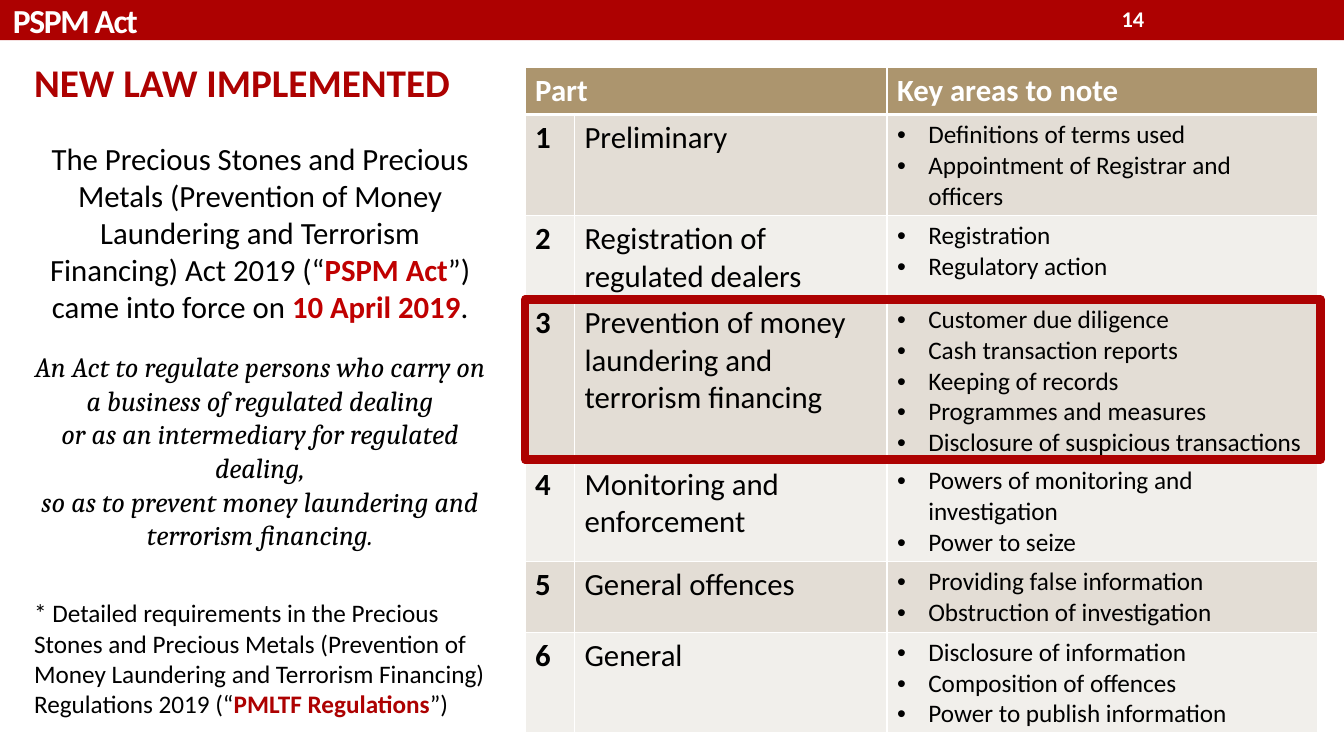
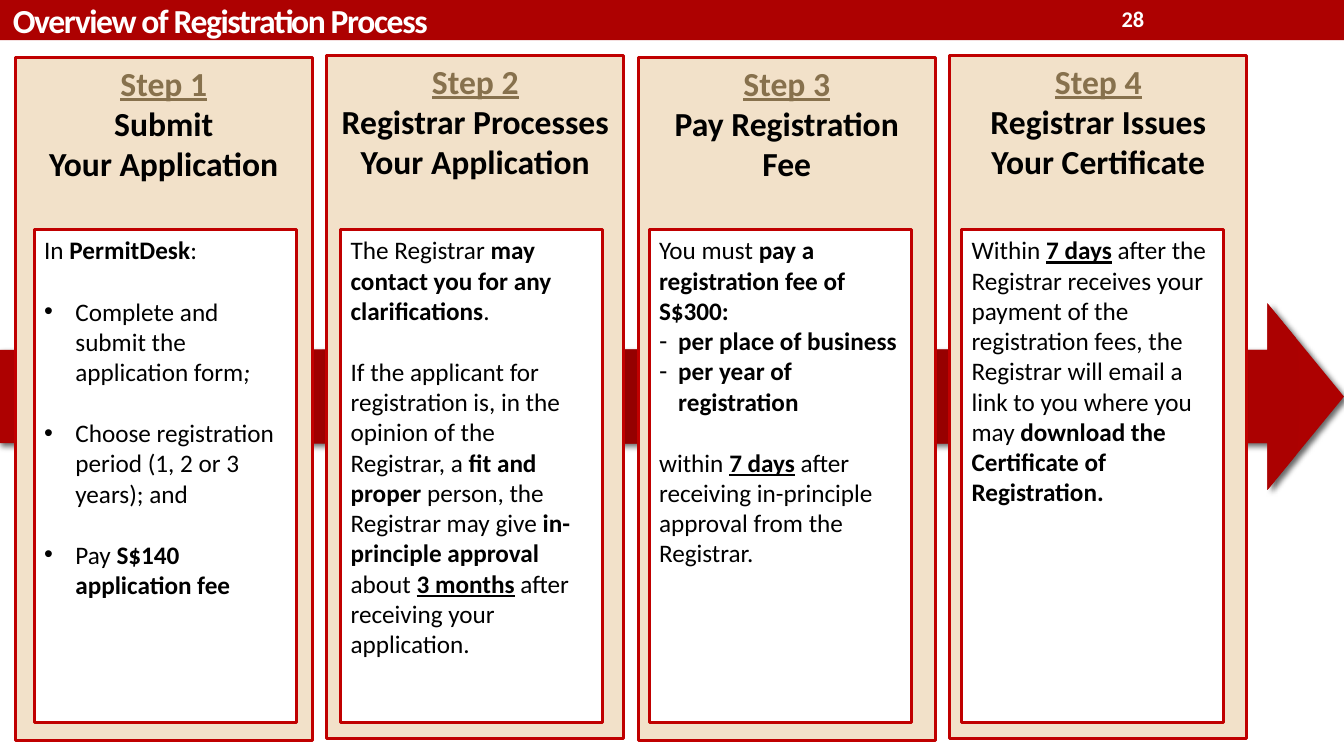
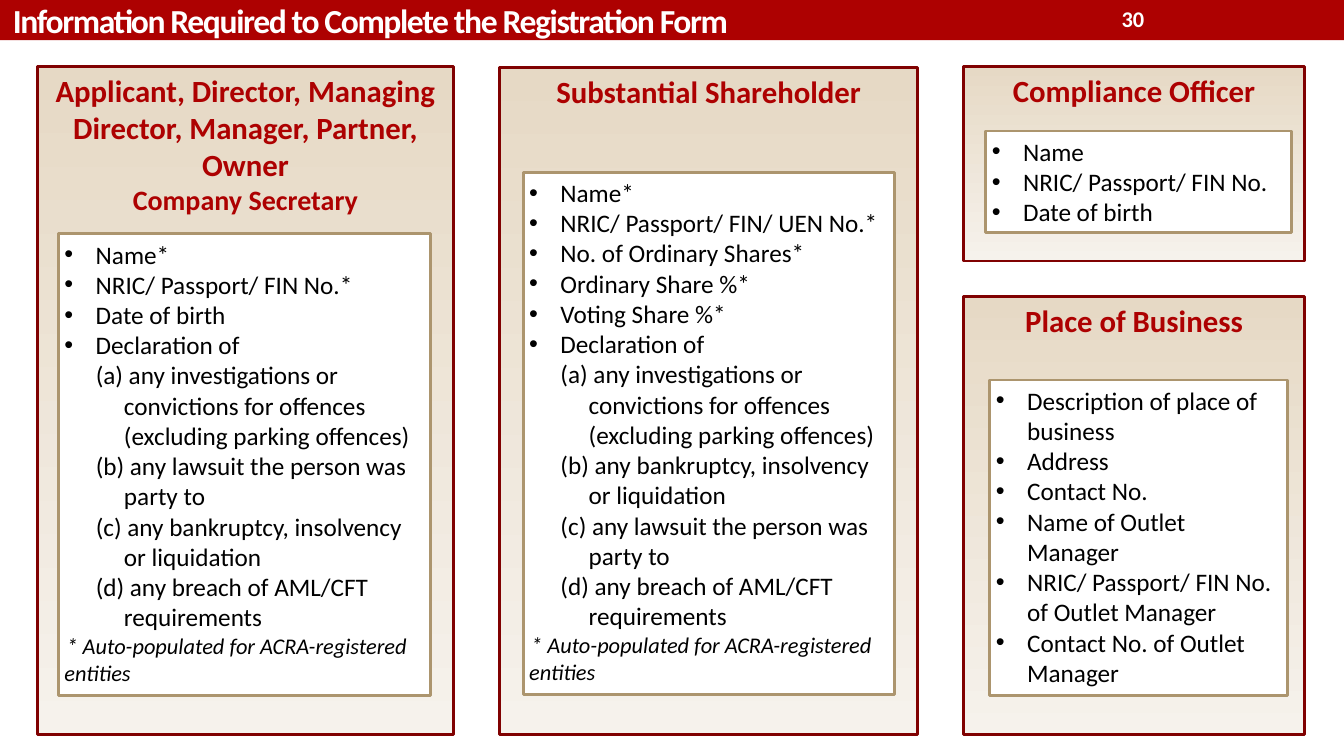
from dataclasses import dataclass
from typing import NamedTuple, Optional, Sequence, Union

from lxml.etree import SubElement as Sub
from pptx import Presentation
from pptx.dml.color import RGBColor as RGB
from pptx.enum.shapes import MSO_SHAPE as Kind
from pptx.enum.text import MSO_ANCHOR as Anchor, PP_ALIGN as Align
from pptx.oxml import parse_xml
from pptx.oxml.ns import nsdecls, qn
from pptx.util import Inches, Pt

# Grid: ten columns and ten rows to the inch
COLS, ROWS = 133.33, 75
UNIT = Inches(0.1)


@dataclass(frozen=True)
class Theme:
    red: str = "AD0101"
    deep: str = "800101"
    bright: str = "C00000"
    dark: str = "950000"
    mid: str = "A60000"
    tan: str = "AC956E"
    brown: str = "87714D"
    cream: str = "F2E1C9"
    sand: str = "E6D9C5"
    pale: str = "F6F2EC"
    odd: str = "E3DDD5"
    even: str = "F1EFEB"
    white: str = "FFFFFF"
    black: str = "000000"
    font: str = "Calibri"
    serif: str = "Cambria"
    head: int = 28
    title: int = 24
    lead: int = 22
    quote: int = 20
    body: int = 18
    small: int = 16
    edge: float = 2.08


T = Theme()
LOOKS = {
    "": {},
    "b": {"bold": True},
    "i": {"italic": True},
    "bu": {"bold": True, "underline": True},
}


class Box(NamedTuple):
    x: float
    y: float
    w: float
    h: float

    def emu(self) -> list[int]:
        return [round(n * UNIT) for n in self]


class Run(NamedTuple):
    text: str
    look: str = ""
    hue: Optional[str] = None


@dataclass
class Para:
    bits: Sequence[Union[str, Run]]
    size: float = T.body
    look: str = ""
    hue: str = T.black
    align: Align = Align.LEFT
    mark: str = ""
    left: float = 0
    hang: float = 0
    gap: float = 0
    font: str = T.font
    track: int = 0


class Step(NamedTuple):
    lines: Sequence[str]
    inset: float
    paras: Sequence[Para]


class Panel(NamedTuple):
    box: Box
    heads: Sequence[Para]
    inner: Box
    paras: Sequence[Para]


class Topic(NamedTuple):
    name: str
    areas: Sequence[str]


# Kinds of paragraph
def bold(text: str) -> Run:
    return Run(text, "b")


def under(text: str) -> Run:
    return Run(text, "bu")


def dot(*bits: Union[str, Run], gap: float = 0) -> Para:
    return Para(bits, mark="•", left=0.31, hang=-0.31, gap=gap)


def dash(text: str) -> Para:
    return Para([bold(text)], mark="-", left=0.19, hang=-0.19)


def clause(text: str) -> Para:
    return Para([text], left=0.59, hang=-0.28)


def head(text: str, size: int = T.lead) -> Para:
    return Para([text], size, "b", T.red, Align.CENTER)


# Drawing
def write(frame, paras: Sequence[Para]) -> None:
    for n, para in enumerate(paras):
        p = frame.add_paragraph() if n else frame.paragraphs[0]
        p.alignment = para.align
        p.space_before = Pt(para.gap)
        props = p._p.get_or_add_pPr()
        props.set("marL", str(Inches(para.left)))
        props.set("indent", str(Inches(para.hang)))
        if para.mark:
            Sub(props, qn("a:buFont")).set("typeface", "Arial")
            Sub(props, qn("a:buChar")).set("char", para.mark)
        for item in para.bits:
            bit = item if isinstance(item, Run) else Run(item)
            run = p.add_run()
            run.text = bit.text
            style = {"name": para.font, "size": Pt(para.size), "bold": False,
                     **LOOKS[para.look], **LOOKS[bit.look]}
            for key, value in style.items():
                setattr(run.font, key, value)
            run.font.color.rgb = RGB.from_string(bit.hue or para.hue)
            if para.track:
                run._r.get_or_add_rPr().set("spc", str(para.track))


def setup(frame, paras: Sequence[Para], anchor: Anchor, side: float) -> None:
    style = {"word_wrap": True, "vertical_anchor": anchor,
             "margin_left": Inches(side), "margin_right": Inches(side)}
    for key, value in style.items():
        setattr(frame, key, value)
    write(frame, paras)


def label(slide, box: Box, paras: Sequence[Para], anchor: Anchor = Anchor.TOP) -> None:
    setup(slide.shapes.add_textbox(*box.emu()).text_frame, paras, anchor, 0.1)


def block(slide, box: Box, fill: Sequence[str] = (), line: str = "", paras: Sequence[Para] = (),
          edge: float = T.edge, side: float = 0.1, kind: Kind = Kind.RECTANGLE):
    """One fill colour is solid, two run from top to bottom, none is clear."""
    shape = slide.shapes.add_shape(kind, *box.emu())
    shape.shadow.inherit = False
    if len(fill) == 2:
        shape.fill.gradient()
        shape.fill.gradient_angle = 270
        for stop, hue in zip(shape.fill.gradient_stops, fill):
            stop.color.rgb = RGB.from_string(hue)
    elif fill:
        shape.fill.solid()
        shape.fill.fore_color.rgb = RGB.from_string(fill[0])
    else:
        shape.fill.background()
    if line:
        shape.line.color.rgb = RGB.from_string(line)
        shape.line.width = Pt(edge)
    else:
        shape.line.fill.background()
    if paras:
        setup(shape.text_frame, paras, Anchor.TOP, side)
    return shape


def start(deck, title: str, number: int):
    """Add a slide with the red band, its title and its number."""
    slide = deck.slides.add_slide(deck.slide_layouts[6])
    block(slide, Box(0, 0, COLS, 4), [T.red])
    label(slide, Box(0.3, 0, 92.4, 4),
          [Para([title], T.title, "b", T.white, track=-100)], Anchor.MIDDLE)
    label(slide, Box(98.9, 0, 15.6, 3.6),
          [Para([str(number)], T.small, "b", T.white, Align.RIGHT)], Anchor.MIDDLE)
    return slide


def paint(cell, fill: str, paras: Sequence[Para], top: float = 1, base: float = 1) -> None:
    props = cell._tc.get_or_add_tcPr()
    for side, width in zip("LRTB", (1, 1, top, base)):
        line = Sub(props, qn(f"a:ln{side}"))
        line.set("w", str(Pt(width)))
        Sub(Sub(line, qn("a:solidFill")), qn("a:srgbClr")).set("val", T.white)
    cell.fill.solid()
    cell.fill.fore_color.rgb = RGB.from_string(fill)
    write(cell.text_frame, paras)


# Slide 1: the Act
TOPICS = [
    Topic("Preliminary", ["Definitions of terms used", "Appointment of Registrar and officers"]),
    Topic("Registration of regulated dealers", ["Registration", "Regulatory action"]),
    Topic("Prevention of money laundering and terrorism financing",
          ["Customer due diligence", "Cash transaction reports", "Keeping of records",
           "Programmes and measures", "Disclosure of suspicious transactions"]),
    Topic("Monitoring and enforcement",
          ["Powers of monitoring and investigation", "Power to seize"]),
    Topic("General offences", ["Providing false information", "Obstruction of investigation"]),
    Topic("General", ["Disclosure of information", "Composition of offences",
                      "Power to publish information"]),
]


def list_topics(slide) -> None:
    wide, row = (4.9, 31, 42.7), 4.1
    count = len(TOPICS) + 1
    box = Box(52.1, 6.7, sum(wide), row * count)
    table = slide.shapes.add_table(count, len(wide), *box.emu()).table
    for col, width in zip(table.columns, wide):
        col.width = round(width * UNIT)
    for line in table.rows:
        line.height = round(row * UNIT)
    for col, name in enumerate(("Part", "", "Key areas to note")):
        paras = [Para([name], T.lead, "b", T.white)] if name else []
        paint(table.cell(0, col), T.tan, paras, base=3)
    table.cell(0, 0).merge(table.cell(0, 1))
    for n, topic in enumerate(TOPICS, 1):
        texts = ([Para([str(n)], T.lead, "b")], [Para([topic.name], T.lead)],
                 [dot(area) for area in topic.areas])
        for col, paras in enumerate(texts):
            paint(table.cell(n, col), T.odd if n % 2 else T.even, paras,
                  top=3 if n == 1 else 1)


def draw_act(deck) -> None:
    slide = start(deck, "PSPM Act", 14)
    list_topics(slide)
    label(slide, Box(2.4, 5.3, 46.8, 27.6), [
        Para(["NEW LAW IMPLEMENTED"], T.head, "b", T.red),
        Para(["The Precious Stones and Precious Metals (Prevention of Money Laundering and "
              "Terrorism Financing) Act 2019 (“", Run("PSPM Act", "b", T.bright),
              "”) came into force on ", Run("10 April 2019", "b", T.bright), "."],
             T.lead, align=Align.CENTER, gap=24.4)])
    label(slide, Box(2.4, 34.2, 46.8, 21.2), [
        Para([text], T.quote, "i", align=Align.CENTER, font=T.serif) for text in (
            "An Act to regulate persons who carry on a business of regulated dealing",
            "or as an intermediary for regulated dealing,",
            "so as to prevent money laundering and terrorism financing.")])
    label(slide, Box(2.4, 58.8, 46.8, 16.2), [
        Para(["* Detailed requirements in the Precious Stones and Precious Metals (Prevention of "
              "Money Laundering and Terrorism Financing) Regulations 2019 (“",
              Run("PMLTF Regulations", "b", T.red), "”)"])])
    block(slide, Box(52.1, 29.7, 78.9, 15.9), line=T.red, edge=6)


# Slide 2: the four steps
SKIP = 22
STEPS = [
    Step(["Submit", "Your Application"], 1.9, [
        Para(["In ", bold("PermitDesk"), ":"]),
        dot("Complete and submit the application form", Run(";", "i"), gap=SKIP),
        dot("Choose registration period (1, 2 or 3 years); and", gap=SKIP),
        dot("Pay ", bold("S$140 application fee"), gap=SKIP)]),
    Step(["Registrar Processes", "Your Application"], 1.4, [
        Para(["The Registrar ", bold("may contact you for any clarifications"), "."]),
        Para(["If the applicant for registration is, in the opinion of the Registrar, a ",
              bold("fit and proper "), "person, the Registrar may give ",
              bold("in-principle approval "), "about ", under("3 months"),
              " after receiving your application."], gap=SKIP)]),
    Step(["Pay Registration Fee"], 1.1, [
        Para(["You must ", bold("pay a registration fee of S$300:")]),
        dash("per place of business"),
        dash("per year of registration"),
        Para(["within ", under("7 days"),
              " after receiving in-principle approval from the Registrar."], gap=SKIP)]),
    Step(["Registrar Issues Your Certificate"], 1.2, [
        Para(["Within ", under("7 days"), " after the Registrar receives your payment of the "
              "registration fees, the Registrar will email a link to you where you may ",
              bold("download the Certificate of Registration.")])]),
]


def draw_arrow(slide) -> None:
    arrow = block(slide, Box(0, 30.1, COLS, 18.5), kind=Kind.RIGHT_ARROW)
    arrow.adjustments[0], arrow.adjustments[1] = 0.5, 0.41
    stops = "".join(
        f'<a:gs pos="{pos * 1000}"><a:srgbClr val="{hue}"/></a:gs>'
        for pos, hue in ((0, T.dark), (34, T.dark), (70, T.mid), (100, T.red)))
    props = arrow._element.spPr
    props.replace(props.find(qn("a:noFill")), parse_xml(
        f'<a:gradFill {nsdecls("a")}><a:gsLst>{stops}</a:gsLst><a:path path="circle">'
        '<a:fillToRect l="50000" t="50000" r="50000" b="50000"/></a:path></a:gradFill>'))
    props.find(qn("a:effectLst")).append(parse_xml(
        f'<a:outerShdw {nsdecls("a")} blurRad="{Pt(3)}" dist="{Pt(2)}" dir="2700000">'
        f'<a:srgbClr val="{T.black}"><a:alpha val="60000"/></a:srgbClr></a:outerShdw>'))


def draw_steps(deck) -> None:
    slide = start(deck, "Overview of Registration Process", 28)
    draw_arrow(slide)
    for n, step in enumerate(STEPS):
        x = 1.5 + 30.9 * n
        heads = [Para([f"Step {n + 1}"], T.title, "bu", T.brown, Align.CENTER)]
        heads += [Para([text], T.title, "b", align=Align.CENTER) for text in step.lines]
        block(slide, Box(x, 5.5 if n % 2 else 5.7, 29.5, 67.8), [T.cream], T.bright, heads)
        block(slide, Box(x + step.inset, 22.8, 26, 48.9), [T.white], T.bright, step.paras)


# Slide 3: the form
PROBE = "any investigations or convictions for offences (excluding parking offences)"
SUIT = "any lawsuit the person was party to"
BROKE = "any bankruptcy, insolvency or liquidation"
BREACH = "any breach of AML/CFT requirements"


def dots(*texts: str) -> list[Para]:
    return [dot(text) for text in texts]


def declare(*texts: str) -> list[Para]:
    return [dot("Declaration of"),
            *(clause(f"({mark}) {text}") for mark, text in zip("abcd", texts)),
            Para(["* Auto-populated for ACRA-registered entities"], T.small, "i", hang=0.02)]


PANELS = [
    Panel(Box(3.7, 6.6, 41.3, 66.3),
          [head("Applicant, Director, Managing Director, Manager, Partner, Owner"),
           head("Company Secretary", T.quote)],
          Box(5.8, 23.2, 36.9, 45.8),
          dots("Name*", "NRIC/ Passport/ FIN No.*", "Date of birth")
          + declare(PROBE, SUIT, BROKE, BREACH)),
    Panel(Box(49.6, 6.7, 41.4, 66.2), [head("Substantial Shareholder")],
          Box(51.9, 17.1, 36.8, 51.8),
          dots("Name*", "NRIC/ Passport/ FIN/ UEN No.*", "No. of Ordinary Shares*",
               "Ordinary Share %*", "Voting Share %*")
          + declare(PROBE, BROKE, SUIT, BREACH)),
    Panel(Box(95.6, 6.6, 33.8, 19.3), [head("Compliance Officer")],
          Box(97.8, 13, 30.3, 10.1),
          dots("Name", "NRIC/ Passport/ FIN No.", "Date of birth")),
    Panel(Box(95.6, 29.4, 33.8, 43.5), [head("Place of Business")],
          Box(98.2, 37.7, 29.5, 31.3),
          dots("Description of place of business", "Address", "Contact No.",
               "Name of Outlet Manager", "NRIC/ Passport/ FIN No. of Outlet Manager",
               "Contact No. of Outlet Manager")),
]


def draw_form(deck) -> None:
    slide = start(deck, "Information Required to Complete the Registration Form", 30)
    for panel in PANELS:
        block(slide, panel.box, [T.sand, T.pale], T.deep, panel.heads)
        block(slide, panel.inner, [T.white], T.tan, panel.paras, side=0.06)


def main() -> None:
    deck = Presentation()
    deck.slide_width, deck.slide_height = round(COLS * UNIT), ROWS * UNIT
    for draw in (draw_act, draw_steps, draw_form):
        draw(deck)
    deck.save("out.pptx")


if __name__ == "__main__":
    main()
